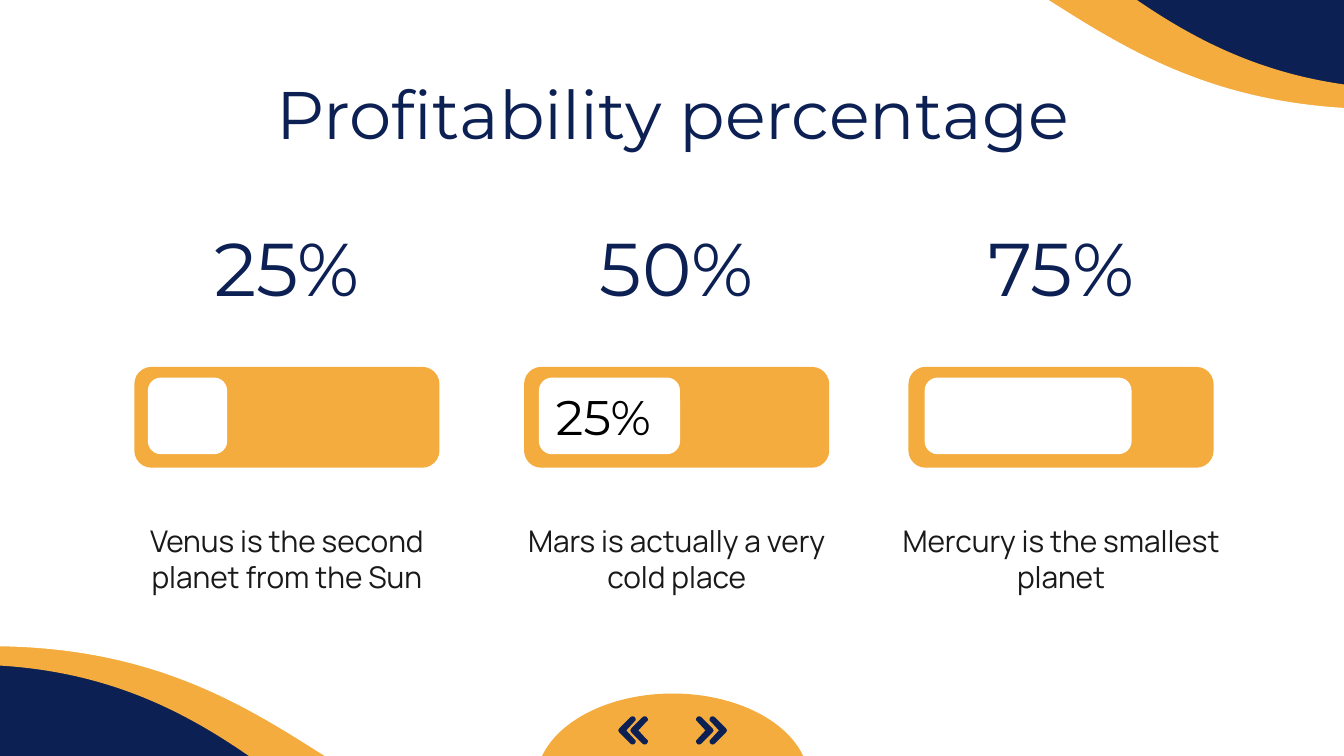
from pptx import Presentation
from pptx.dml.color import RGBColor
from pptx.enum import shapes as sh, text as tx
from pptx.util import Inches, Pt

NAVY, AMBER, WHITE, BLACK, INK = "0C2054", "F3AC3D", "FFFFFF", "000000", "191919"
CHEVRON_W, CHEVRON_H = 130, 210  # thousandths of an inch


def paint(fill, colour):
    fill.solid()
    fill.fore_color.rgb = RGBColor.from_string(colour)


def finish(shape, colour):
    paint(shape.fill, colour)
    shape.line.fill.background()
    shape.shadow.inherit = False


def add_block(slide, preset, box, colour, adjustments=()):
    block = slide.shapes.add_shape(preset, *map(Inches, box))
    finish(block, colour)
    for i, value in enumerate(adjustments):
        block.adjustments[i] = value
    return block


def mirror(shape):
    shape._element.spPr.xfrm.set("flipH", "1")


def write(shape, words, size, font, colour, align=tx.PP_ALIGN.CENTER):
    frame = shape.text_frame
    frame.word_wrap = True
    frame.vertical_anchor = tx.MSO_ANCHOR.MIDDLE
    frame.margin_left = frame.margin_right = Inches(0.1)
    frame.margin_top = frame.margin_bottom = Inches(0.1)
    paragraph = frame.paragraphs[0]
    paragraph.alignment = align
    run = paragraph.add_run()
    run.text = words
    run.font.size = Pt(size)
    run.font.name = font
    run.font.color.rgb = RGBColor.from_string(colour)


def add_label(slide, box, *style):
    write(slide.shapes.add_textbox(*map(Inches, box)), *style)


def add_waves(slide):
    """Layer the wavy sheets that leave the coloured corners showing."""
    waves = [
        ((-0.24, -2.4, 5.6, 9.16), 0, AMBER),
        ((4.93, -1.15, 5.6, 9.16), 180, AMBER),
        ((-0.07, -1.39, 5.6, 7.73), 0, WHITE),
        ((4.68, -0.72, 5.6, 7.73), 180, WHITE),
    ]
    for box, rotation, colour in waves:
        wave = add_block(slide, sh.MSO_SHAPE.FLOWCHART_DOCUMENT, box, colour)
        wave.rotation = rotation
        mirror(wave)


def add_column(slide, left, percent, caption, inset, progress, inner_text):
    """Stack a percentage, its progress bar and a caption from the left edge."""
    add_label(slide, (left, 1.7, 2.61, 0.57), percent, 40, "Montserrat", NAVY)
    rounded = sh.MSO_SHAPE.ROUNDED_RECTANGLE
    bar_left = left + 0.17
    add_block(slide, rounded, (bar_left, 2.73, 2.27, 0.75), AMBER, [0.17])
    level = add_block(slide, rounded, (bar_left + inset, 2.81, progress, 0.57),
                      WHITE, [0.17])
    if inner_text:
        write(level, inner_text, 26, "Montserrat", BLACK, tx.PP_ALIGN.LEFT)
    add_label(slide, (left, 3.83, 2.61, 0.65), caption, 16, "Manrope", INK)


def add_chevron(slide, left, top, points_right):
    upper = [(70, 105), (10, 40), (0, 30), (0, 18), (8, 5), (20, 0),
             (32, 2), (40, 8), (122, 90), (130, 105)]
    lower = [(x, CHEVRON_H - y) for x, y in upper[-2:0:-1]]
    outline = [(x if points_right else CHEVRON_W - x, y) for x, y in upper + lower]
    builder = slide.shapes.build_freeform(*outline[0], scale=Inches(1) / 1000)
    builder.add_line_segments(outline[1:], close=True)
    finish(builder.convert_to_shape(Inches(left), Inches(top)), NAVY)


def add_navigation(slide, left, top):
    dome = add_block(slide, sh.MSO_SHAPE.PIE, (left, top, 2.03, 1.31), AMBER,
                     [0, 108.31])
    dome.rotation = 180
    mirror(dome)
    for offset, points_right in [(0.61, False), (0.7, False), (1.19, True), (1.29, True)]:
        add_chevron(slide, left + offset, top + 0.17, points_right)


def main():
    deck = Presentation()
    deck.slide_width = Inches(10)
    deck.slide_height = deck.slide_width * 9 // 16
    slide = deck.slides.add_slide(deck.slide_layouts[6])
    paint(slide.background.fill, NAVY)
    add_waves(slide)
    add_label(slide, (0.8, 0.58, 8.41, 0.51),
              "Profitability percentage", 36, "Montserrat", NAVY)
    columns = [
        (0.83, "25%", "Venus is the second planet from the Sun", 0.1, 0.59, ""),
        (3.73, "50%", "Mars is actually a very cold place", 0.11, 1.05, "25%"),
        (6.59, "75%", "Mercury is the smallest planet", 0.12, 1.54, ""),
    ]
    for column in columns:
        add_column(slide, *column)
    add_navigation(slide, 3.99, 5.16)
    deck.save("out.pptx")


if __name__ == "__main__":
    main()
